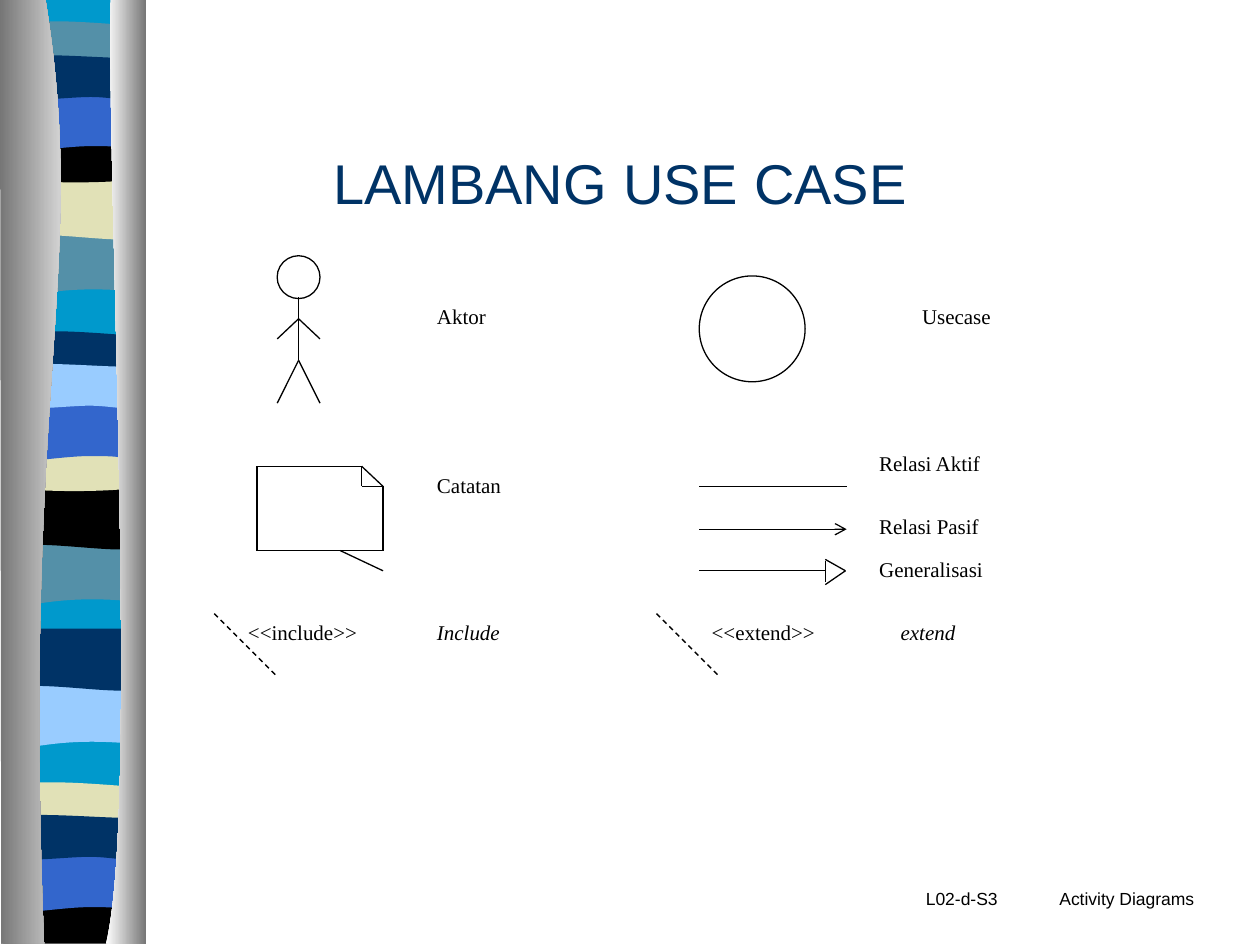
from lxml import etree
from pptx import Presentation
from pptx.dml.color import RGBColor
from pptx.enum.dml import MSO_LINE
from pptx.enum.shapes import MSO_CONNECTOR, MSO_SHAPE
from pptx.enum.text import MSO_ANCHOR, PP_ALIGN
from pptx.oxml.ns import qn
from pptx.util import Inches, Pt

STRAIGHT, OVAL, DASH = MSO_CONNECTOR.STRAIGHT, MSO_SHAPE.OVAL, MSO_LINE.DASH
MIDDLE, CENTER = MSO_ANCHOR.MIDDLE, PP_ALIGN.CENTER

COLORS = {
    name: RGBColor.from_string(value)
    for name, value in {
        "white": "FFFFFF", "black": "000000", "navy": "003366", "blue": "3366CC",
        "cyan": "0099CC", "teal": "5490A8", "sky": "99CCFF", "sand": "E1E1B7",
        "gray": "767676",
    }.items()
}

presentation = Presentation()
presentation.slide_width, presentation.slide_height = Inches(10), Inches(7.5)
slide = presentation.slides.add_slide(presentation.slide_layouts[5])
shapes = slide.shapes


def add_outline(outline, left=0, top=0):
    """Closed freeform: 2 numbers are a corner, 6 a cubic curve to its last pair."""
    points = [(Inches(left + step[i]), Inches(top + step[i + 1]))
              for step in outline for i in range(0, len(step), 2)]
    builder = shapes.build_freeform(*points[0])
    builder.add_line_segments(points[1:], close=True)
    shape = builder.convert_to_shape()
    segments = iter(list(shape._element.iter(qn("a:lnTo"))))
    for step in outline[1:]:
        segment = next(segments)
        if len(step) == 6:
            segment.tag = qn("a:cubicBezTo")
            for _ in range(2):
                extra = next(segments)
                segment.append(extra[0])
                extra.getparent().remove(extra)
    shape.shadow.inherit = False
    shape.line.fill.background()
    return shape


def add_text(text, left, top, width, height=0.5, tab=None, **font_values):
    box = shapes.add_textbox(Inches(left), Inches(top), Inches(width), Inches(height))
    box.text_frame.word_wrap = True
    paragraph = box.text_frame.paragraphs[0]
    paragraph.text = text
    if tab:
        tab_list = etree.SubElement(paragraph._p.get_or_add_pPr(), qn("a:tabLst"))
        etree.SubElement(tab_list, qn("a:tab"), pos=str(Inches(tab)), algn="l")
    values = {"name": "Times New Roman", "size": Pt(12), **font_values}
    for name, value in values.items():
        setattr(paragraph.runs[0].font, name, value)
    paragraph.runs[0].font.color.rgb = COLORS["black"]
    for run in paragraph.runs[1:]:
        for name, value in values.items():
            setattr(run.font, name, value)
        run.font.color.rgb = COLORS["black"]


# Striped ribbon: band outlines, repeated in three groups
W = 1.08
BANDS = {
    "wave": [(W, 0), (W, 0.47), (0.33, 0.39, 0.18, 0.55, 0, 0.47), (0, 0)],
    "swell": [(W, 0), (W, 0.47), (0.9, 0.54, 0.33, 0.41, 0, 0.47), (0, 0)],
    "thin": [(W, 0.05), (W, 0.29), (0.9, 0.34, 0.18, 0.34, 0, 0.29), (0, 0.05),
             (0.07, 0, 0.23, 0.01, 0.41, 0.01), (0.59, 0.01, 0.94, 0.04, W, 0.05)],
    "dip": [(W, 0), (W, 0.33), (0.9, 0.38, 0.18, 0.38, 0, 0.33), (0, 0),
            (0.66, 0.05, 0.85, 0, W, 0)],
    "foot": [(W, 0), (W, 0.37), (0.01, 0.37), (0, 0), (0.66, 0.05, 0.85, 0, W, 0)],
    "arch": [(W, 0), (W, 0.47), (0.91, 0.42, 0.84, 0.42, 0.66, 0.42),
             (0.48, 0.42, 0.16, 0.47, 0, 0.47), (0, 0)],
    "flat": [(W, 0.05), (W, 0.36), (1.01, 0.41, 0.84, 0.36, 0.66, 0.36),
             (0.48, 0.36, 0.11, 0.41, 0, 0.36), (0, 0.05),
             (0.15, 0, 0.73, 0.05, 0.91, 0.05), (1.09, 0.05, 1.04, 0.05, W, 0.05)],
}
BAND_GROUPS = [
    (0.06, [("wave", 1.85, "teal"), ("swell", 1.41, "sand"), ("thin", 0.16, "teal"),
            ("dip", 1.08, "black"), ("arch", 0.74, "blue"), ("flat", 0.41, "navy")]),
    (0.05, [("wave", 4.31, "teal"), ("swell", 3.87, "black"), ("thin", 2.62, "navy"),
            ("dip", 3.53, "sand"), ("arch", 3.2, "blue"), ("flat", 2.86, "sky")]),
    (0.05, [("wave", 5.44, "sky"), ("swell", 4.99, "navy"), ("thin", 6.2, "sand"),
            ("foot", 7.12, "black"), ("arch", 6.78, "blue"), ("flat", 6.44, "navy")]),
]
ribbon = add_outline([(W, 0), (W, 7.48), (0, 7.48), (0, 0)], 0.06, -0.01)
ribbon.fill.solid()
ribbon.fill.fore_color.rgb = COLORS["cyan"]
for left, bands in BAND_GROUPS:
    for band, top, color in bands:
        shape = add_outline(BANDS[band], left, top)
        shape.fill.solid()
        shape.fill.fore_color.rgb = COLORS[color]

EDGES = [
    ([(0.36, -0.01), (0.71, 2.16, 0.17, 2.96, 0.35, 7.49), (0.01, 7.49), (0, -0.01)],
     "gray", "white"),
    ([(0.88, -0.01), (0.84, 1.25, 1.11, 6.46, 0.84, 7.49), (1.16, 7.49), (1.16, 0)],
     "white", "gray"),
]
for outline, *stop_colors in EDGES:
    edge = add_outline(outline)
    edge.fill.gradient()
    edge.fill.gradient_angle = 0
    for position, (stop, color) in enumerate(zip(edge.fill.gradient_stops, stop_colors)):
        stop.position = position
        stop.color.rgb = COLORS[color]

# Title and footer
title = shapes.title
title.left, title.top, title.width, title.height = (
    Inches(0.42), Inches(1), Inches(9), Inches(0.85))
title.text_frame.vertical_anchor = MIDDLE
paragraph = title.text_frame.paragraphs[0]
paragraph.alignment = CENTER
WORD_FONT = {"name": "Arial", "size": Pt(32)}
SPACE_FONT = {"name": "Times New Roman", "size": Pt(36)}
for text in ["LAMBANG", " ", "USE", " ", "CASE"]:
    run = paragraph.add_run()
    run.text = text
    for name, value in (SPACE_FONT if text == " " else WORD_FONT).items():
        setattr(run.font, name, value)
    run.font.color.rgb = COLORS["navy"]
add_text("L02-d-S3\tActivity Diagrams", 7.25, 7, 2.5, 0.33, tab=1.06,
         name="Arial", size=Pt(10))

# Use case circle and actor head
for left, top, size in [(5.55, 2.19, 0.84), (2.2, 2.03, 0.34)]:
    circle = shapes.add_shape(OVAL, Inches(left), Inches(top), Inches(size), Inches(size))
    circle.shadow.inherit = False
    circle.fill.solid()
    circle.fill.fore_color.rgb = COLORS["white"]
    circle.line.color.rgb = COLORS["black"]
    circle.line.width = Pt(0.75)

# Each line: x1, y1, x2, y2
ACTOR = [(2.37, 2.36, 2.37, 2.86), (2.37, 2.53, 2.2, 2.69), (2.37, 2.53, 2.54, 2.69),
         (2.37, 2.86, 2.2, 3.2), (2.37, 2.86, 2.54, 3.2)]
NOTE = [(2.04, 3.7, 2.87, 3.7), (2.04, 4.37, 3.04, 4.37), (2.04, 3.7, 2.04, 4.37),
        (3.04, 3.86, 3.04, 4.37), (2.87, 3.7, 3.04, 3.86), (2.87, 3.7, 2.87, 3.86),
        (2.87, 3.86, 3.04, 3.86), (2.7, 4.37, 3.04, 4.53)]
ACTIVE = [(5.55, 3.86, 6.72, 3.86)]
PASSIVE = [(5.55, 4.2, 6.72, 4.2)]
GENERALIZATION = [(5.55, 4.53, 6.55, 4.53), (6.55, 4.45, 6.55, 4.62),
                  (6.55, 4.44, 6.71, 4.53), (6.71, 4.53, 6.55, 4.64)]
DASHED = [(x, 4.87, x + 0.5, 5.37) for x in (1.7, 5.21)]
for line in ACTOR + NOTE + ACTIVE + PASSIVE + GENERALIZATION + DASHED:
    connector = shapes.add_connector(STRAIGHT, *(Inches(value) for value in line))
    connector.line.color.rgb = COLORS["black"]
    connector.line.width = Pt(0.75)
    etree.SubElement(connector._element.spPr, qn("a:effectLst"))
    if line in DASHED:
        connector.line.dash_style = DASH
    if line in PASSIVE:
        etree.SubElement(connector.line._get_or_add_ln(), qn("a:tailEnd"), type="arrow")

# Labels: text, left, top, width, italic
LABELS = [
    ("Aktor", 3.37, 2.36, 1, False),
    ("Usecase", 7.22, 2.36, 1, False),
    ("Catatan", 3.37, 3.7, 1, False),
    ("Relasi Aktif", 6.88, 3.53, 1.5, False),
    ("Relasi Pasif", 6.88, 4.03, 1.5, False),
    ("Generalisasi", 6.88, 4.37, 1.5, False),
    ("<<include>>", 1.87, 4.87, 1.5, False),
    ("Include", 3.37, 4.87, 1, True),
    ("<<extend>>", 5.55, 4.87, 1.51, False),
    ("extend", 7.05, 4.87, 1, True),
]
for text, left, top, width, italic in LABELS:
    add_text(text, left, top, width, italic=italic)

presentation.save("out.pptx")
